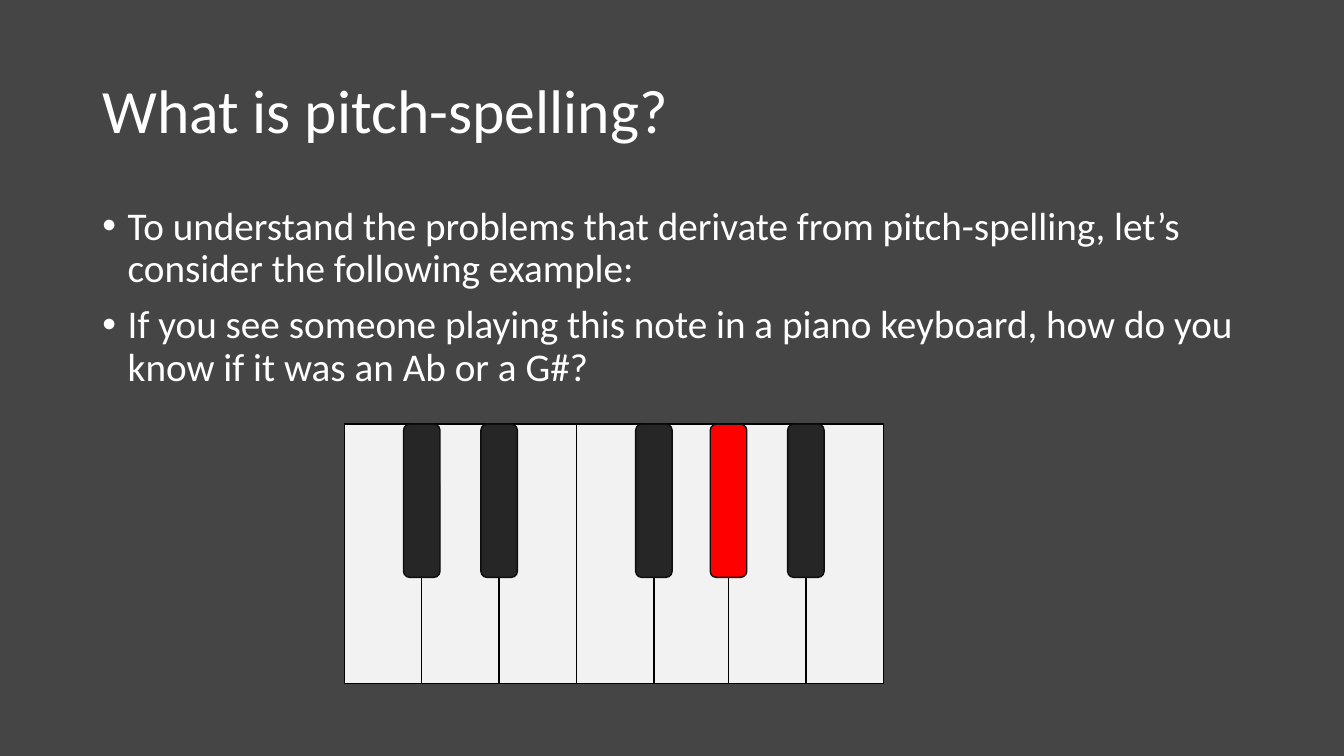
from dataclasses import dataclass

from lxml import etree
from pptx import Presentation
from pptx.dml.color import RGBColor
from pptx.enum.shapes import MSO_SHAPE
from pptx.enum.text import MSO_ANCHOR
from pptx.oxml.ns import qn
from pptx.slide import Slide
from pptx.text.text import TextFrame
from pptx.util import Cm, Pt

RECTANGLE = MSO_SHAPE.RECTANGLE
ROUNDED = MSO_SHAPE.ROUNDED_RECTANGLE
TOP = MSO_ANCHOR.TOP
MIDDLE = MSO_ANCHOR.MIDDLE

BACKGROUND = RGBColor(0x45, 0x45, 0x45)
TEXT = RGBColor(0xFF, 0xFF, 0xFF)
IVORY = RGBColor(0xF2, 0xF2, 0xF2)
EBONY = RGBColor(0x26, 0x26, 0x26)
PLAYED = RGBColor(0xFF, 0x00, 0x00)
WHITE_KEY_LINE = RGBColor(0x00, 0x00, 0x00)
BLACK_KEY_LINE = RGBColor(0x0D, 0x0D, 0x0D)

FONT = "Calibri"
TEXT_LEFT, TEXT_WIDTH = 2.33, 29.21
BULLET_INDENT = Cm(0.64)

KEYBOARD_LEFT, KEYBOARD_TOP = 8.68, 10.69
WHITE_WIDTH, WHITE_HEIGHT = 1.95, 6.53
BLACK_WIDTH, BLACK_HEIGHT = 0.92, 3.86
UPPER_OVERLAP = 0.07  # the keys A and B sit slightly over G

TITLE = "What is pitch-spelling?"
POINTS = (
    "To understand the problems that derivate from pitch-spelling, "
    "let’s consider the following example:",
    "If you see someone playing this note in a piano keyboard, "
    "how do you know if it was an Ab or a G#?",
)


@dataclass(frozen=True)
class KeyStyle:
    """Look and size of one kind of piano key, in centimetres."""

    shape: MSO_SHAPE
    width: float
    height: float
    fill: RGBColor
    line: RGBColor


WHITE_KEY = KeyStyle(RECTANGLE, WHITE_WIDTH, WHITE_HEIGHT, IVORY, WHITE_KEY_LINE)
BLACK_KEY = KeyStyle(ROUNDED, BLACK_WIDTH, BLACK_HEIGHT, EBONY, BLACK_KEY_LINE)
PLAYED_KEY = KeyStyle(ROUNDED, BLACK_WIDTH, BLACK_HEIGHT, PLAYED, BLACK_KEY_LINE)

# Each black key is centred on the left edge of the white key named here.
BLACK_KEYS = {
    "D": BLACK_KEY,
    "E": BLACK_KEY,
    "G": BLACK_KEY,
    "A": PLAYED_KEY,
    "B": BLACK_KEY,
}


def add_text_frame(page: Slide, top: float, height: float, anchor: MSO_ANCHOR) -> TextFrame:
    """Add a wrapping text box across the text column."""
    box = page.shapes.add_textbox(Cm(TEXT_LEFT), Cm(top), Cm(TEXT_WIDTH), Cm(height))
    frame = box.text_frame
    frame.word_wrap = True
    frame.vertical_anchor = anchor
    return frame


def write_paragraph(frame: TextFrame, index: int, text: str, size: int, bullet: bool) -> None:
    """Write one paragraph, with a hanging bullet if asked."""
    para = frame.paragraphs[0] if index == 0 else frame.add_paragraph()
    para.line_spacing = 0.9
    if bullet:
        para.space_before = Pt(10)
        properties = para._p.get_or_add_pPr()
        properties.set("marL", str(BULLET_INDENT))
        properties.set("indent", str(-BULLET_INDENT))
        etree.SubElement(properties, qn("a:buFont"), typeface="Arial")
        etree.SubElement(properties, qn("a:buChar"), char="•")
    span = para.add_run()
    span.text = text
    span.font.name = FONT
    span.font.size = Pt(size)
    span.font.color.rgb = TEXT


def add_key(page: Slide, left: float, style: KeyStyle) -> None:
    """Draw one piano key hanging from the top of the keyboard."""
    key = page.shapes.add_shape(
        style.shape, Cm(left), Cm(KEYBOARD_TOP), Cm(style.width), Cm(style.height)
    )
    key.shadow.inherit = False
    key.fill.solid()
    key.fill.fore_color.rgb = style.fill
    key.line.color.rgb = style.line
    key.line.width = Pt(1)


def add_keyboard(page: Slide) -> None:
    """Draw one octave: the white keys first, the black keys over them."""
    lefts = {
        note: KEYBOARD_LEFT + index * WHITE_WIDTH - (UPPER_OVERLAP if note in "AB" else 0)
        for index, note in enumerate("CDEFGAB")
    }
    for left in lefts.values():
        add_key(page, left, WHITE_KEY)
    for note, style in BLACK_KEYS.items():
        add_key(page, lefts[note] - style.width / 2, style)


def main() -> None:
    """Build the slide and save the deck."""
    deck = Presentation()
    deck.slide_width, deck.slide_height = Cm(33.87), Cm(19.05)
    page = deck.slides.add_slide(deck.slide_layouts[6])
    page.background.fill.solid()
    page.background.fill.fore_color.rgb = BACKGROUND

    title = add_text_frame(page, 1.01, 3.68, MIDDLE)
    write_paragraph(title, 0, TITLE, 44, bullet=False)
    body = add_text_frame(page, 5.07, 12.09, TOP)
    for index, point in enumerate(POINTS):
        write_paragraph(body, index, point, 28, bullet=True)
    add_keyboard(page)

    deck.save("out.pptx")


main()
